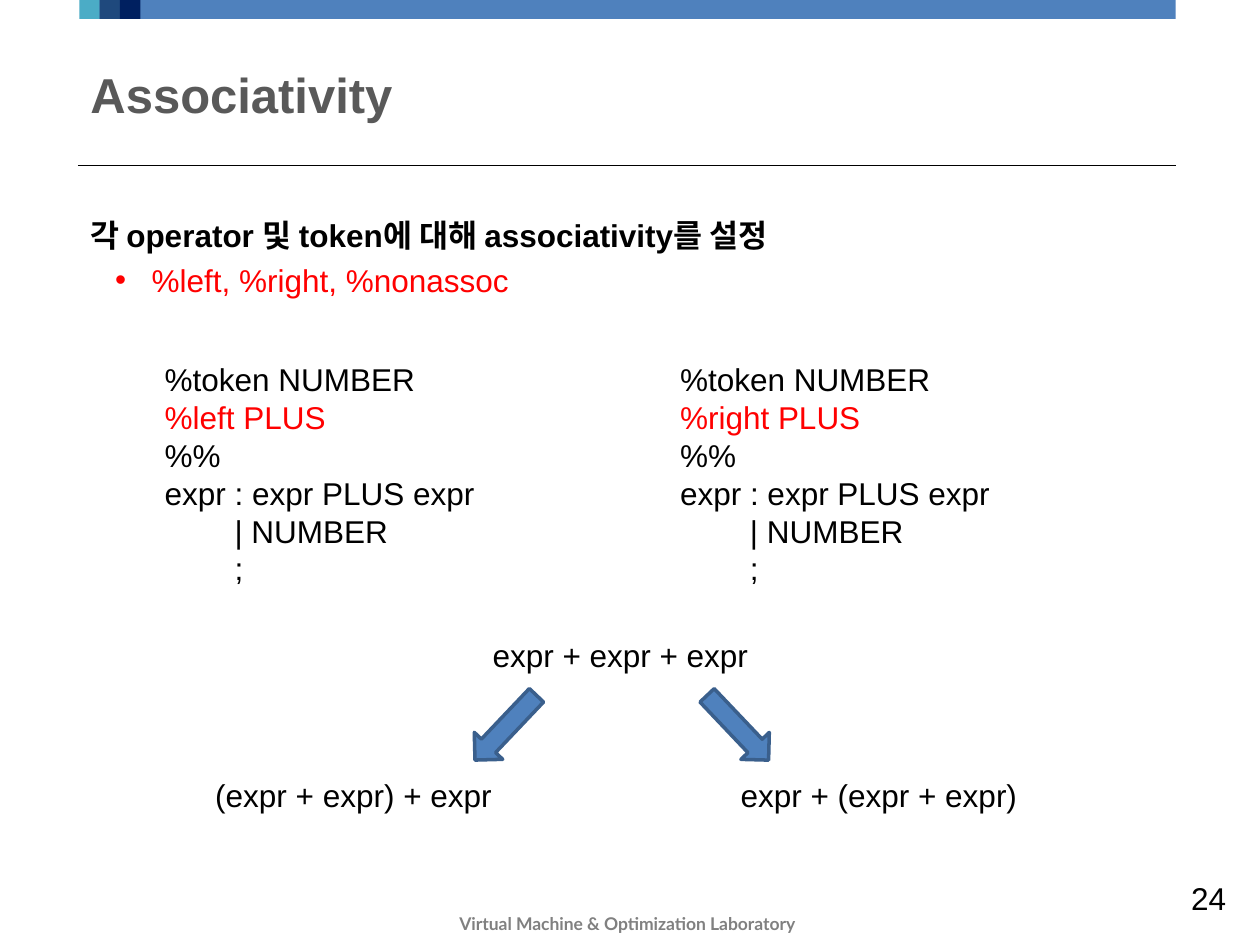
from lxml import etree
from pptx import Presentation
from pptx.dml.color import RGBColor
from pptx.enum.shapes import MSO_CONNECTOR, MSO_SHAPE
from pptx.enum.text import MSO_ANCHOR, PP_ALIGN
from pptx.oxml.ns import qn
from pptx.util import Cm, Pt

LEFT, CENTER, RIGHT = PP_ALIGN.LEFT, PP_ALIGN.CENTER, PP_ALIGN.RIGHT
TOP, MIDDLE = MSO_ANCHOR.TOP, MSO_ANCHOR.MIDDLE
RECT, DOWN_ARROW = MSO_SHAPE.RECTANGLE, MSO_SHAPE.DOWN_ARROW
STRAIGHT = MSO_CONNECTOR.STRAIGHT

COLORS = {
    "black": "000000",
    "red": "FF0000",
    "title": "595959",
    "footer": "808080",
    "blue": "4F81BD",
    "outline": "3A5F8C",
    "navy": "002060",
    "dark": "1F497D",
    "teal": "4BACC6",
}


def rgb(name):
    return RGBColor.from_string(COLORS[name])


def write(p, text, color="black", align=LEFT, **formats):
    p.alignment = align
    r = p.add_run()
    r.text = text
    values = {"name": "Arial", "size": Pt(18), "bold": False, **formats}
    for key, value in values.items():
        setattr(r.font, key, value)
    r.font.color.rgb = rgb(color)


def indent(p, left, first=0, bullet=None):
    pPr = p._p.get_or_add_pPr()
    pPr.set("marL", str(Cm(left)))
    pPr.set("indent", str(Cm(first)))
    if bullet:
        etree.SubElement(pPr, qn("a:buFont")).set("typeface", "Arial")
        etree.SubElement(pPr, qn("a:buChar")).set("char", bullet)


def add_text(s, box, lines, anchor=TOP, wrap=True, **formats):
    tf = s.shapes.add_textbox(*map(Cm, box)).text_frame
    tf.word_wrap = wrap
    tf.vertical_anchor = anchor
    for i, (text, color, left) in enumerate(lines):
        p = tf.add_paragraph() if i else tf.paragraphs[0]
        write(p, text, color, **formats)
        if left:
            indent(p, left)


def add_filled(s, kind, box, color, line=None, rotation=0):
    sp = s.shapes.add_shape(kind, *map(Cm, box))
    sp.shadow.inherit = False
    sp.rotation = rotation
    sp.fill.solid()
    sp.fill.fore_color.rgb = rgb(color)
    if line:
        sp.line.color.rgb = rgb(line)
        sp.line.width = Pt(2)
    else:
        sp.line.fill.background()


def add_rule(s, x1, x2, y):
    cxn = s.shapes.add_connector(STRAIGHT, Cm(x1), Cm(y), Cm(x2), Cm(y))
    cxn.line.color.rgb = rgb("black")
    cxn.line.width = Pt(0.75)
    etree.SubElement(cxn._element.spPr, qn("a:effectLst"))


def add_title(s, text):
    sp = s.shapes.title
    sp.left, sp.top, sp.width, sp.height = map(Cm, (1.57, 0.94, 22.12, 1.9))
    sp.text_frame.vertical_anchor = MIDDLE
    write(sp.text_frame.paragraphs[0], text, "title", size=Pt(28), bold=True)


def add_body(s, heading, item):
    tf = s.shapes.add_textbox(*map(Cm, (1.57, 4.24, 22.12, 13.54))).text_frame
    tf.word_wrap = True
    write(tf.paragraphs[0], heading, bold=True)
    p = tf.add_paragraph()
    write(p, item, "red")
    for p in tf.paragraphs:
        p.space_before = Pt(3.6)
    indent(p, 1.24, -0.74, "•")


def add_frame(s):
    add_filled(s, RECT, (1.65, -0.03, 22.05, 0.41), "blue")
    for i, color in enumerate(("teal", "dark", "navy")):
        add_filled(s, RECT, (1.6 + i * 0.41, -0.03, 0.41, 0.41), color)
    add_rule(s, 1.57, 23.7, 3.33)
    add_text(s, (23.7, 17.6, 1.27, 1.02), [("24", "black", 0)],
             MIDDLE, False, align=RIGHT)
    add_text(s, (7.44, 18.29, 10.41, 0.69),
             [("Virtual Machine & Optimization Laboratory", "footer", 0)],
             align=CENTER, name="Lato", size=Pt(10), bold=True)


def add_grammar(s, x, keyword):
    add_text(s, (x, 7.14, 10.39, 4.88), [
        ("%token NUMBER", "black", 0),
        (f"%{keyword} PLUS", "red", 0),
        ("%%", "black", 0),
        ("expr : expr PLUS expr", "black", 0),
        ("| NUMBER", "black", 1.41),
        (";", "black", 1.41),
    ])


def main():
    prs = Presentation()
    prs.slide_width, prs.slide_height = Cm(25.4), Cm(19.05)
    s = prs.slides.add_slide(prs.slide_layouts[5])
    add_frame(s)
    add_title(s, "Associativity")
    add_body(s, "각 operator 및 token에 대해 associativity를 설정",
             "%left, %right, %nonassoc")
    for x, keyword in ((3.07, "left"), (13.46, "right")):
        add_grammar(s, x, keyword)
    for x, y, text in ((9.68, 12.7, "expr + expr + expr"),
                       (14.68, 15.52, "expr + (expr + expr)"),
                       (4.09, 15.52, "(expr + expr) + expr")):
        add_text(s, (x, y, 6.6, 1.02), [(text, "black", 0)])
    for x, rotation in ((9.8, 43.5), (14.48, 316.5)):
        add_filled(s, DOWN_ARROW, (x, 13.77, 0.79, 1.8), "blue", "outline",
                   rotation)
    prs.save("out.pptx")


if __name__ == "__main__":
    main()
